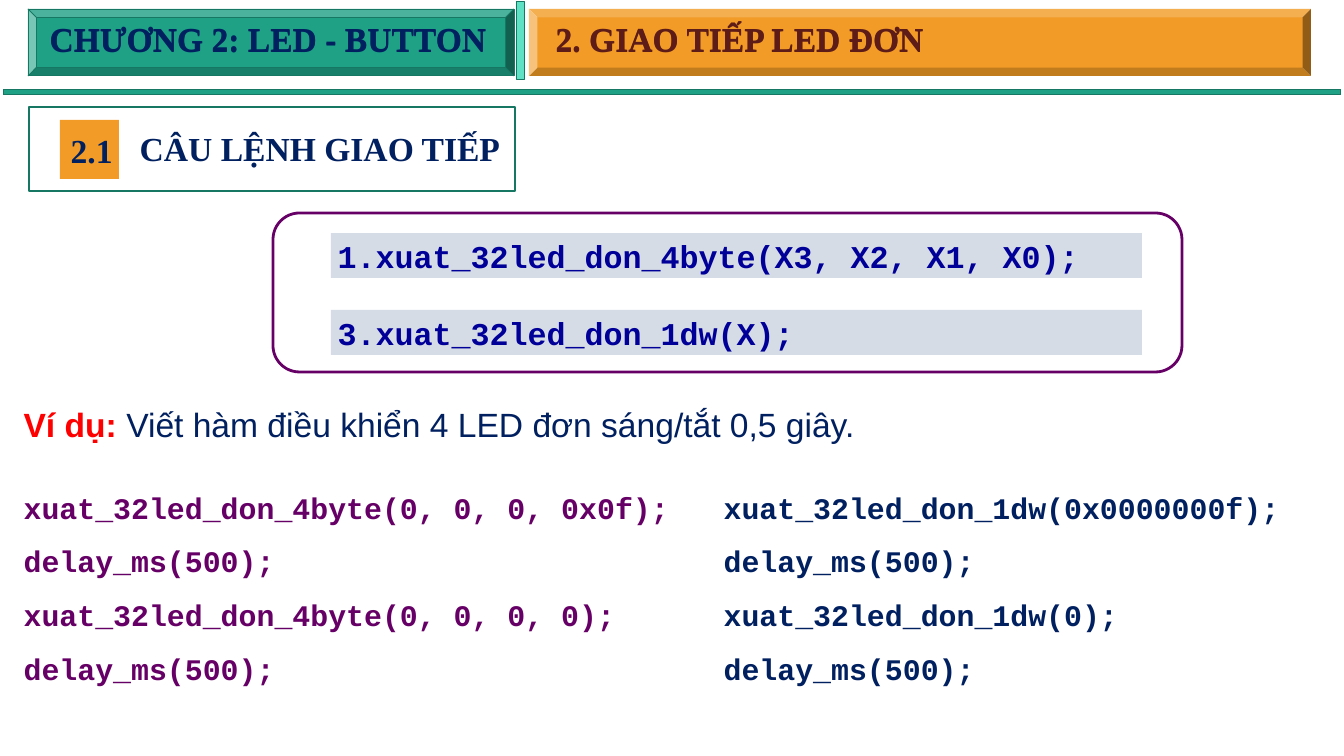
from lxml import etree
from pptx import Presentation
from pptx import util as u
from pptx.dml.color import RGBColor
from pptx.enum import shapes, text
from pptx.oxml.ns import qn

PX = 914400 / 67.2

WHITE = RGBColor(0xFF, 0xFF, 0xFF)
GREEN = RGBColor(0x1E, 0xA1, 0x85)
DARK_GREEN = RGBColor(0x16, 0x77, 0x62)
MINT = RGBColor(0x5E, 0xE1, 0xC5)
ORANGE = RGBColor(0xF2, 0x9B, 0x26)
NAVY = RGBColor(0x00, 0x20, 0x60)
BROWN = RGBColor(0x5E, 0x1C, 0x18)
ROSE = RGBColor(0xDE, 0x82, 0x7B)
PURPLE = RGBColor(0x66, 0x00, 0x66)
BLUE = RGBColor(0x00, 0x00, 0x99)
GREY = RGBColor(0xD6, 0xDC, 0xE5)
RED = RGBColor(0xFF, 0x00, 0x00)

SERIF, SANS, MONO = "Times New Roman", "Arial", "Courier New"
KIND = shapes.MSO_SHAPE


def px(*lengths):
    return [round(length * PX) for length in lengths]


def add_block(slide, kind, box, fill=None, line=None, weight=1):
    block = slide.shapes.add_shape(kind, *px(*box))
    block.shadow.inherit = False
    if fill is None:
        block.fill.background()
    else:
        block.fill.solid()
        block.fill.fore_color.rgb = fill
    if line is None:
        block.line.fill.background()
    else:
        block.line.color.rgb = line
        block.line.width = u.Pt(weight)
    return block


def add_run(paragraph, wording, font, size, color, bold=True):
    run = paragraph.add_run()
    run.text = wording
    run.font.name = font
    run.font.size = u.Pt(size)
    run.font.bold = bold
    run.font.color.rgb = color
    return run


def add_label(slide, box):
    """Add an empty wrapping text box and return its text frame."""
    frame = slide.shapes.add_textbox(*px(*box)).text_frame
    frame.word_wrap = True
    return frame


def add_heading(slide, box, wording, color=NAVY):
    paragraph = add_label(slide, box).paragraphs[0]
    return add_run(paragraph, wording, SERIF, 36, color)


def outline(run, color, weight):
    """Draw a coloured edge around the letters of a run."""
    properties = run.font._element
    edge = etree.Element(qn("a:ln"), w=str(u.Pt(weight)))
    fill = etree.SubElement(edge, qn("a:solidFill"))
    etree.SubElement(fill, qn("a:srgbClr"), val=str(color))
    properties.insert(0, edge)


def add_banner(slide, left, width, wording, text_left, color, edge, weight, fill, line=None):
    """Add a bevelled title bar with an outlined back layer under its text."""
    add_block(slide, KIND.BEVEL, (left, 9, width, 67), fill, line)
    back = add_heading(slide, (text_left, 15, 823, 48), wording, color)
    outline(back, edge, weight)
    add_heading(slide, (text_left, 16, 823, 48), wording, color)


def add_command(slide, top, wording):
    bar = add_block(slide, KIND.RECTANGLE, (331, top, 811, 45), GREY)
    frame = bar.text_frame
    frame.word_wrap = True
    frame.vertical_anchor = text.MSO_ANCHOR.TOP
    paragraph = frame.paragraphs[0]
    paragraph.alignment = text.PP_ALIGN.LEFT
    add_run(paragraph, wording, MONO, 34, BLUE)


def add_code(slide, left, width, lines, color):
    frame = add_label(slide, (left, 468, width, 224))
    for number, line in enumerate(lines):
        paragraph = frame.add_paragraph() if number else frame.paragraphs[0]
        paragraph.line_spacing = 1.5
        add_run(paragraph, line, MONO, 32, color)


def main():
    deck = Presentation()
    deck.slide_width, deck.slide_height = u.Inches(20), u.Inches(11.25)
    slide = deck.slides.add_slide(deck.slide_layouts[6])
    slide.background.fill.solid()
    slide.background.fill.fore_color.rgb = WHITE

    add_block(slide, KIND.RECTANGLE, (60, 120, 59, 59), ORANGE)
    add_block(slide, KIND.RECTANGLE, (29, 107, 486, 84), line=DARK_GREEN, weight=2)
    add_heading(slide, (133, 125, 395, 48), "CÂU LỆNH GIAO TIẾP")
    add_heading(slide, (64, 127, 268, 48), "2.1")

    add_block(slide, KIND.MATH_MINUS, (-238, 81, 1820, 22), GREEN, DARK_GREEN)
    add_banner(slide, 28, 486, "CHƯƠNG 2: LED - BUTTON", 43,
               NAVY, GREEN, 2.75, GREEN, DARK_GREEN)
    add_block(slide, KIND.MATH_MINUS, (515, -125, 11, 331), MINT, DARK_GREEN)
    add_banner(slide, 529, 782, "2. GIAO TIẾP LED ĐƠN", 549,
               BROWN, ROSE, 2.25, ORANGE)

    add_command(slide, 310, "3.xuat_32led_don_1dw(X);")
    add_command(slide, 233, "1.xuat_32led_don_4byte(X3, X2, X1, X0);")
    add_block(slide, KIND.ROUNDED_RECTANGLE, (273, 213, 909, 159), line=PURPLE, weight=3)

    example = add_label(slide, (17, 401, 1099, 48)).paragraphs[0]
    add_run(example, "Ví dụ: ", SANS, 36, RED)
    add_run(example, "Viết hàm điều khiển 4 LED đơn sáng/tắt 0,5 giây.",
            SANS, 36, NAVY, bold=False)

    delay = "delay_ms(500);"
    add_code(slide, 17, 801, ["xuat_32led_don_4byte(0, 0, 0, 0x0f);", delay,
                              "xuat_32led_don_4byte(0, 0, 0, 0);", delay], PURPLE)
    add_code(slide, 717, 577, ["xuat_32led_don_1dw(0x0000000f);", delay,
                               "xuat_32led_don_1dw(0);", delay], NAVY)

    deck.save("out.pptx")


if __name__ == "__main__":
    main()
